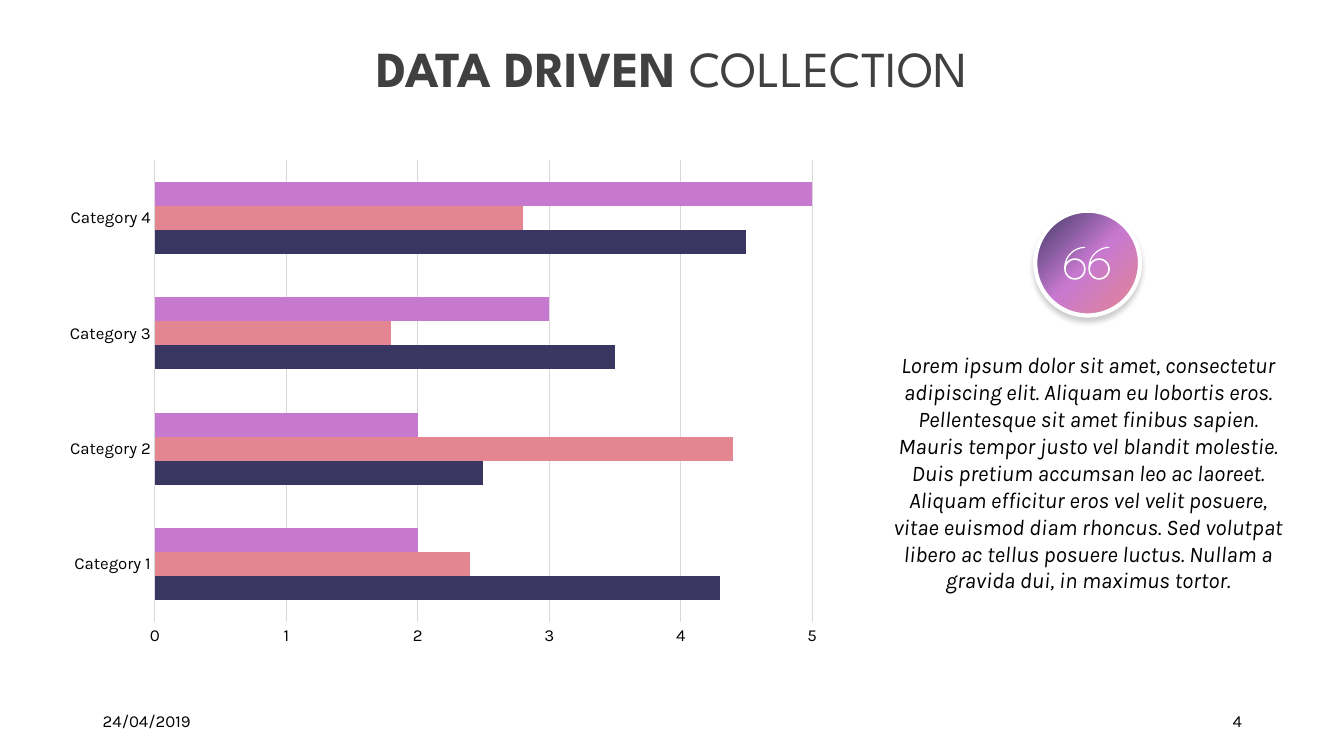
from copy import deepcopy
from math import cos, radians, sin

from lxml import etree
from pptx import Presentation
from pptx.chart.data import CategoryChartData
from pptx.dml.color import RGBColor
from pptx.enum.chart import XL_CHART_TYPE, XL_TICK_MARK
from pptx.enum.shapes import MSO_SHAPE
from pptx.enum.text import MSO_ANCHOR, MSO_AUTO_SIZE, PP_ALIGN
from pptx.oxml.ns import qn
from pptx.util import Cm, Pt

BAR_CLUSTERED = XL_CHART_TYPE.BAR_CLUSTERED
NO_TICK = XL_TICK_MARK.NONE
ELLIPSE = MSO_SHAPE.OVAL
TOP, MIDDLE = MSO_ANCHOR.TOP, MSO_ANCHOR.MIDDLE
NO_FIT = MSO_AUTO_SIZE.NONE
LEFT, CENTER, RIGHT = PP_ALIGN.LEFT, PP_ALIGN.CENTER, PP_ALIGN.RIGHT

COLORS = {
    "heading": "404040", "text": "000000", "white": "FFFFFF", "grid": "D9D9D9",
    "navy": "393762", "rose": "E48592", "orchid": "C779D0",
}
TITLE_ONLY = 5

CATEGORIES = ["Category 1", "Category 2", "Category 3", "Category 4"]
SERIES = [
    ("Series 1", [4.3, 2.5, 3.5, 4.5], "navy"),
    ("Series 2", [2.4, 4.4, 1.8, 2.8], "rose"),
    ("Series 3", [2, 2, 3, 5], "orchid"),
]
QUOTE = (
    "Lorem ipsum dolor sit amet, consectetur adipiscing elit. Aliquam eu lobortis eros. "
    "Pellentesque sit amet finibus sapien. Mauris tempor justo vel blandit molestie. "
    "Duis pretium accumsan leo ac laoreet. Aliquam efficitur eros vel velit posuere, "
    "vitae euismod diam rhoncus. Sed volutpat libero ac tellus posuere luctus. "
    "Nullam a gravida dui, in maximus tortor."
)


def rgb(name):
    return RGBColor.from_string(COLORS[name])


def arc(center_x, center_y, radius, start, end, steps=24):
    """Points in cm along a circle; angles in degrees run clockwise from the right."""
    angles = [radians(start + (end - start) * i / steps) for i in range(steps + 1)]
    return [(center_x + radius * cos(a), center_y + radius * sin(a)) for a in angles]


class SlideBuilder:
    title_font = "League Spartan"
    body_font = "Karla"

    def __init__(self, page):
        self.page = page
        self.shapes = page.shapes

    def style(self, font, size, color="text", name=None):
        font.name, font.size = name or self.body_font, Pt(size)
        font.color.rgb = rgb(color)

    def no_margins(self, frame):
        frame.margin_left = frame.margin_top = frame.margin_right = frame.margin_bottom = 0

    def title(self, spans, left, top, width, height):
        """Fill the title placeholder with (text, bold) spans."""
        box = self.shapes.title
        box.left, box.top, box.width, box.height = map(Cm, (left, top, width, height))
        frame = box.text_frame
        self.no_margins(frame)
        frame.auto_size, frame.vertical_anchor = NO_FIT, TOP
        para = frame.paragraphs[0]
        para.alignment = CENTER
        self.style(para.font, 36, "heading", self.title_font)
        for text, bold in spans:
            span = para.add_run()
            span.text, span.font.bold = text, bold

    def text(self, text, left, top, width, height, size, align, anchor=TOP):
        box = self.shapes.add_textbox(Cm(left), Cm(top), Cm(width), Cm(height))
        frame = box.text_frame
        frame.word_wrap, frame.vertical_anchor = True, anchor
        para = frame.paragraphs[0]
        para.text, para.alignment = text, align
        self.style(para.font, size)
        return frame

    def quote(self, text, left, top, width, height):
        frame = self.text(text, left, top, width, height, 16, CENTER)
        self.no_margins(frame)
        frame.paragraphs[0].font.italic = True

    def bar_chart(self, categories, series, left, top, width, height):
        data = CategoryChartData()
        data.categories = categories
        for name, values, _ in series:
            data.add_series(name, values)
        chart = self.shapes.add_chart(
            BAR_CLUSTERED, Cm(left), Cm(top), Cm(width), Cm(height), data).chart
        chart.has_legend = chart.has_title = False
        self.style(chart.font, 12)

        plot = chart.plots[0]
        plot.gap_width, plot.overlap, plot.vary_by_categories = 182, 0, False
        for bars, (_, _, color) in zip(plot.series, series):
            bars.format.fill.solid()
            bars.format.fill.fore_color.rgb = rgb(color)

        category_axis, value_axis = chart.category_axis, chart.value_axis
        for axis in (category_axis, value_axis):
            axis.major_tick_mark = axis.minor_tick_mark = NO_TICK
            self.style(axis.tick_labels.font, 12)
        value_axis.minimum_scale, value_axis.maximum_scale = 0, 5
        value_axis.major_unit = 1
        value_axis.has_major_gridlines = True
        value_axis.format.line.fill.background()
        for line in (category_axis.format.line, value_axis.major_gridlines.format.line):
            line.color.rgb, line.width = rgb("grid"), Pt(0.75)

    def gradient_disc(self, left, top, size, colors):
        disc = self.shapes.add_shape(ELLIPSE, Cm(left), Cm(top), Cm(size), Cm(size))
        disc.line.color.rgb, disc.line.width = rgb("white"), Pt(3)
        disc.fill.gradient()
        disc.fill.gradient_angle = 315
        stop_list = next(disc.element.spPr.iter(qn("a:gsLst")))
        stop_list.append(deepcopy(stop_list[-1]))
        for i, (stop, color) in enumerate(zip(disc.fill.gradient_stops, colors)):
            stop.position, stop.color.rgb = i / (len(colors) - 1), rgb(color)
        self.soft_shadow(disc)

    def soft_shadow(self, shape):
        """Give the shape a faint shadow straight below it."""
        shape.shadow.inherit = False
        effects = shape.element.spPr.find(qn("a:effectLst"))
        shadow = etree.SubElement(
            effects, qn("a:outerShdw"), blurRad=str(Pt(4)), dist=str(Pt(3)),
            dir="5400000", algn="t", rotWithShape="0")
        color = etree.SubElement(shadow, qn("a:srgbClr"), val=COLORS["text"])
        etree.SubElement(color, qn("a:alpha"), val="20000")

    def quote_mark(self, lefts, top):
        """Draw one outlined comma, a ring with a tail, at each left edge."""
        outline = (arc(0.53, 0.53, 0.53, 270, 180) + arc(0.27, 0.56, 0.27, 180, -140)
                   + arc(0.53, 0.53, 0.5, 198, 270))
        hole = arc(0.27, 0.56, 0.23, 0, 360)
        group = self.shapes.add_group_shape()
        for left in lefts:
            contours = [[(Cm(left + x), Cm(top + y)) for x, y in points]
                        for points in (outline, hole)]
            builder = group.shapes.build_freeform(*contours[0][0])
            builder.add_line_segments(contours[0][1:])
            builder.move_to(*contours[1][0])
            builder.add_line_segments(contours[1][1:])
            comma = builder.convert_to_shape()
            comma.shadow.inherit = False
            comma.fill.solid()
            comma.fill.fore_color.rgb = rgb("white")
            comma.line.fill.background()


def main():
    deck = Presentation()
    deck.slide_width, deck.slide_height = Cm(33.87), Cm(19.05)
    slide = SlideBuilder(deck.slides.add_slide(deck.slide_layouts[TITLE_ONLY]))

    slide.title([("DATA DRIVEN ", True), ("COLLECTION", False)], 0.74, 0.94, 32.39, 1.52)
    slide.text("24/04/2019", 2.34, 17.65, 7.62, 1.02, 12, LEFT, MIDDLE)
    slide.text("4", 23.93, 17.65, 7.62, 1.02, 12, RIGHT, MIDDLE)
    slide.bar_chart(CATEGORIES, SERIES, 1.37, 3.78, 19.61, 12.75)
    slide.quote(QUOTE, 22.33, 8.86, 10.19, 7.44)
    slide.gradient_disc(26.09, 5.31, 2.64, ["navy", "orchid", "rose"])
    slide.quote_mark([26.82, 27.43], 6.22)

    deck.save("out.pptx")


if __name__ == "__main__":
    main()
